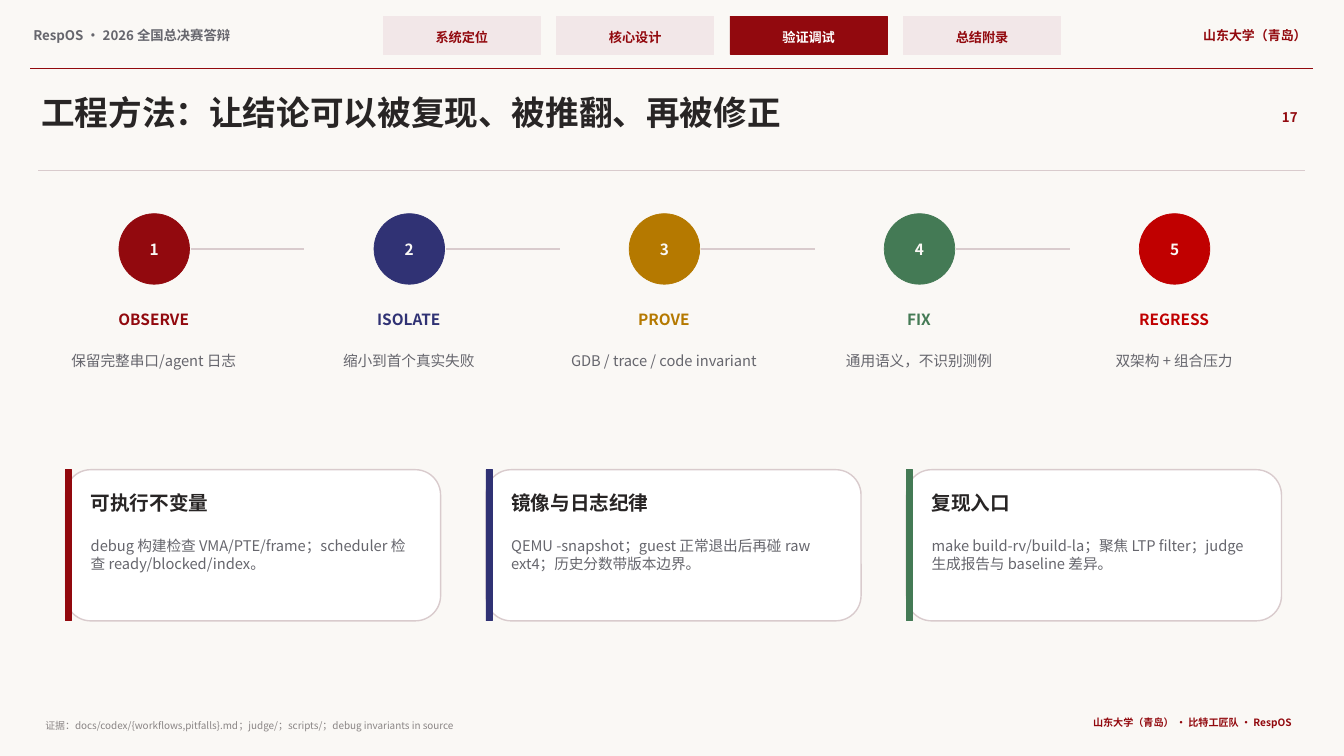
from pptx import Presentation
from pptx.dml.color import RGBColor as RGB
from pptx.enum.shapes import MSO_CONNECTOR as Link, MSO_SHAPE as Kind
from pptx.enum.text import MSO_ANCHOR as Anchor, MSO_AUTO_SIZE as Fit, PP_ALIGN as Align
from pptx.oxml.ns import qn
from pptx.util import Inches, Pt
from lxml import etree

FONT = "Noto Sans CJK SC"
PAPER = RGB(0xFA, 0xF8, 0xF5)
WHITE = RGB(0xFF, 0xFF, 0xFF)
INK = RGB(0x28, 0x25, 0x25)
GRAY = RGB(0x66, 0x66, 0x6D)
FAINT = RGB(0x8A, 0x85, 0x85)
RULE = RGB(0xD9, 0xCB, 0xCD)
BLUSH = RGB(0xF2, 0xE7, 0xE8)
WINE = RGB(0x92, 0x09, 0x0E)
NAVY = RGB(0x30, 0x32, 0x74)
GOLD = RGB(0xB5, 0x79, 0x00)
GREEN = RGB(0x44, 0x7A, 0x55)
RED = RGB(0xC0, 0x00, 0x00)

TITLE = "工程方法：让结论可以被复现、被推翻、再被修正"
TABS = ["系统定位", "核心设计", "验证调试", "总结附录"]
ACTIVE = "验证调试"
STEPS = [
    ("OBSERVE", "保留完整串口/agent 日志", WINE),
    ("ISOLATE", "缩小到首个真实失败", NAVY),
    ("PROVE", "GDB / trace / code invariant", GOLD),
    ("FIX", "通用语义，不识别测例", GREEN),
    ("REGRESS", "双架构 + 组合压力", RED),
]
CARDS = [
    ("可执行不变量", "debug 构建检查 VMA/PTE/frame；scheduler 检查 ready/blocked/index。", WINE),
    ("镜像与日志纪律", "QEMU -snapshot；guest 正常退出后再碰 raw ext4；历史分数带版本边界。", NAVY),
    ("复现入口", "make build-rv/build-la；聚焦 LTP filter；judge 生成报告与 baseline 差异。", GREEN),
]
LABELS = [
    ((0.3, 0.24, 3.35, 0.24), "RespOS · 2026 全国总决赛答辩", 9.5, GRAY, True, Align.LEFT),
    ((11.35, 0.24, 1.64, 0.24), "山东大学（青岛）", 9.2, WINE, True, Align.RIGHT),
    ((12.48, 1.05, 0.42, 0.24), "17", 9.5, WINE, True, Align.RIGHT),
    ((0.42, 7.11, 9.7, 0.17),
     "证据：docs/codex/{workflows,pitfalls}.md；judge/；scripts/；debug invariants in source",
     7.1, FAINT, False, Align.LEFT),
    ((9.72, 7.08, 3.12, 0.2), "山东大学（青岛） · 比特工匠队 · RespOS", 7.2, WINE, True, Align.RIGHT),
]
TAB_GAP, STEP_GAP, CARD_GAP = 1.72, 2.53, 4.17

deck = Presentation()
deck.slide_width, deck.slide_height = Inches(13.33), Inches(7.5)
slide = deck.slides.add_slide(deck.slide_layouts[5])
slide.background.fill.solid()
slide.background.fill.fore_color.rgb = PAPER


def write(box, text, size, color, bold=False, align=Align.LEFT):
    frame = box.text_frame
    frame.word_wrap = True
    frame.auto_size = Fit.SHAPE_TO_FIT_TEXT
    frame.vertical_anchor = Anchor.TOP
    frame.margin_left = frame.margin_right = Inches(0.03)
    frame.margin_top = frame.margin_bottom = Inches(0.03)
    para = frame.paragraphs[0]
    para.alignment = align
    run = para.add_run()
    run.text = text
    font = run.font
    font.name, font.size, font.bold = FONT, Pt(size), bold
    font.color.rgb = color


def label(area, *style):
    write(slide.shapes.add_textbox(*map(Inches, area)), *style)


def block(kind, area, fill, edge, width=0.5):
    shape = slide.shapes.add_shape(kind, *map(Inches, area))
    shape.shadow.inherit = False
    shape.fill.solid()
    shape.fill.fore_color.rgb = fill
    shape.line.color.rgb = edge
    shape.line.width = Pt(width)


def rule(left, right, y, color, width):
    line = slide.shapes.add_connector(
        Link.STRAIGHT, Inches(left), Inches(y), Inches(right), Inches(y))
    line.line.color.rgb = color
    line.line.width = Pt(width)
    etree.SubElement(line._element.spPr, qn("a:effectLst"))


title = slide.shapes.title
title.left, title.top, title.width, title.height = map(Inches, (0.38, 0.88, 11.85, 0.48))
write(title, TITLE, 24, INK, True)
rule(0.3, 13.02, 0.68, WINE, 1.1)
rule(0.38, 12.94, 1.69, RULE, 0.9)
for item in LABELS:
    label(*item)

for i, name in enumerate(TABS):
    x = 3.8 + i * TAB_GAP
    fill, color = (WINE, WHITE) if name == ACTIVE else (BLUSH, WINE)
    block(Kind.RECTANGLE, (x, 0.16, 1.56, 0.38), fill, fill)
    label((x + 0.06, 0.26, 1.44, 0.18), name, 9.4, color, True, Align.CENTER)

for i, (name, note, color) in enumerate(STEPS):
    x = 0.45 + i * STEP_GAP
    dot = x + 0.73
    block(Kind.OVAL, (dot, 2.12, 0.7, 0.7), color, color)
    label((dot, 2.35, 0.7, 0.16), str(i + 1), 11, PAPER, True, Align.CENTER)
    label((x + 0.1, 3.05, 1.95, 0.25), name, 11, color, True, Align.CENTER)
    label((x, 3.46, 2.15, 0.7), note, 10.5, GRAY, False, Align.CENTER)
    if i < len(STEPS) - 1:
        rule(dot + 0.71, dot + 1.84, 2.47, RULE, 1.7)

for i, (name, note, color) in enumerate(CARDS):
    x = 0.65 + i * CARD_GAP
    block(Kind.ROUNDED_RECTANGLE, (x, 4.66, 3.72, 1.5), WHITE, RULE, 1)
    block(Kind.RECTANGLE, (x, 4.66, 0.06, 1.5), color, color)
    label((x + 0.22, 4.84, 3.34, 0.34), name, 14, INK, True)
    label((x + 0.22, 5.3, 3.32, 0.72), note, 10.5, GRAY)

deck.save("out.pptx")
